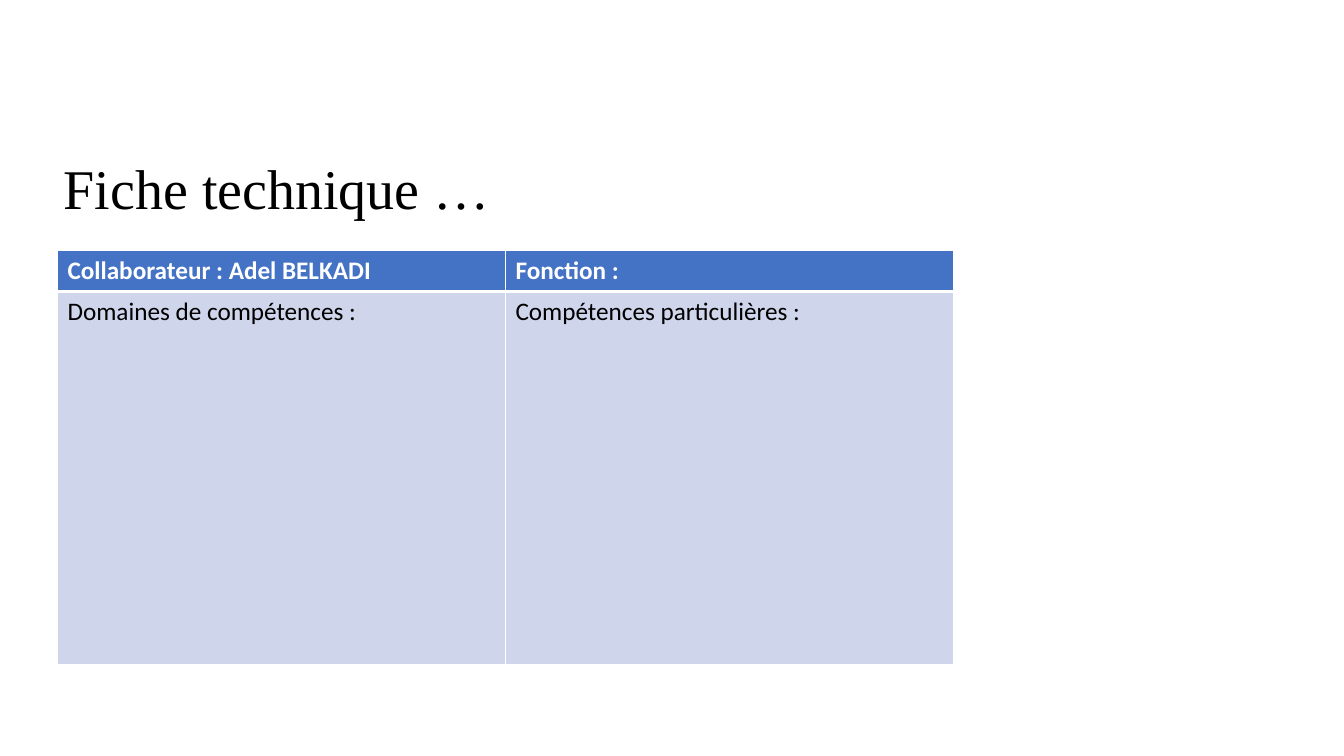
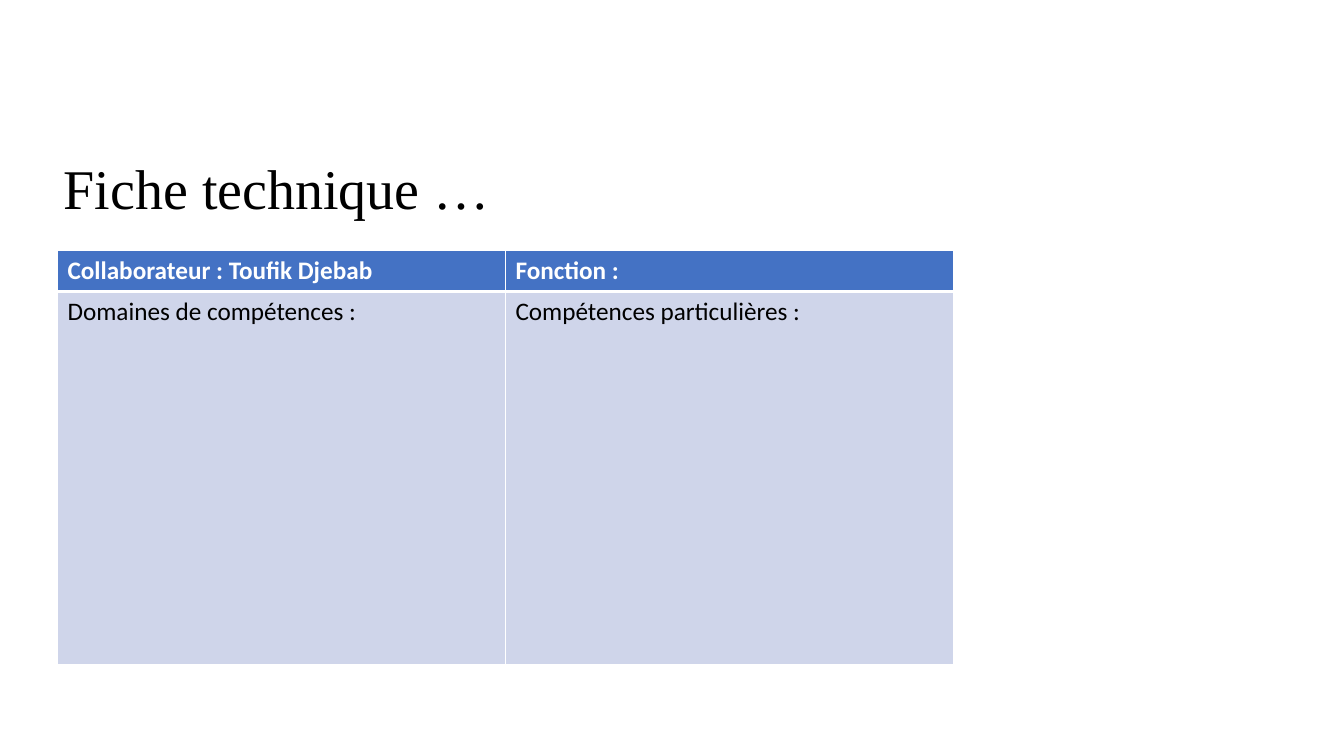
from lxml.etree import SubElement as Sub
from pptx import Presentation
from pptx.dml.color import RGBColor as Rgb
from pptx.enum.text import MSO_ANCHOR as Anchor, MSO_AUTO_SIZE as Fit, PP_ALIGN as Align
from pptx.oxml.ns import qn
from pptx.util import Inches, Pt

HUES = {"head": "4472C4", "body": "CFD5EA", "light": "FFFFFF", "dark": "000000"}
NAMES = ["Adel BELKADI", "Toufik Djebab"]

deck = Presentation()
deck.slide_width, deck.slide_height = Inches(13.33), Inches(7.5)
col, row = deck.slide_width / 100, deck.slide_height / 100


def write(frame, text, font="Calibri", size=18, hue="dark", bold=False):
    para = frame.paragraphs[0]
    run = para.add_run()
    run.text = text
    run.font.name, run.font.size, run.font.bold = font, Pt(size), bold
    run.font.color.rgb = Rgb.from_string(HUES[hue])
    return para


def edge(cell, side, width):
    line = Sub(cell._tc.get_or_add_tcPr(), qn(f"a:ln{side}"), w=str(Pt(width)))
    fill = Sub(line, qn("a:solidFill"))
    Sub(fill, qn("a:srgbClr"), val=HUES["light"])


for name in NAMES:
    slide = deck.slides.add_slide(deck.slide_layouts[5])

    title = slide.shapes.title
    title.left, title.top = int(2.5 * col), int(19.6 * row)
    title.width, title.height = int(65.4 * col), int(10.27 * row)
    frame = title.text_frame
    frame.word_wrap, frame.auto_size = True, Fit.NONE
    frame.vertical_anchor = Anchor.MIDDLE
    para = write(frame, "Fiche technique …", font="Times New Roman", size=40)
    para.alignment, para.space_after = Align.JUSTIFY, Pt(8)
    para._p.get_or_add_pPr().set("indent", str(Inches(0.2)))

    rows = [
        ("head", "light", 5.47, [f"Collaborateur : {name}", "Fonction :"]),
        ("body", "dark", 49.33, ["Domaines de compétences :", "Compétences particulières :"]),
    ]
    tall = sum(part[2] for part in rows)
    table = slide.shapes.add_table(
        2, 2, int(4.28 * col), int(33.07 * row), int(66.66 * col), int(tall * row)
    ).table
    for r, (fill, ink, high, texts) in enumerate(rows):
        table.rows[r].height = int(high * row)
        for c, text in enumerate(texts):
            cell = table.cell(r, c)
            write(cell.text_frame, text, hue=ink, bold=r == 0)
            for side, width in zip("LRTB", (1, 1, 1 + 2 * r, 3 - 2 * r)):
                edge(cell, side, width)
            cell.fill.solid()
            cell.fill.fore_color.rgb = Rgb.from_string(HUES[fill])

deck.save("out.pptx")
